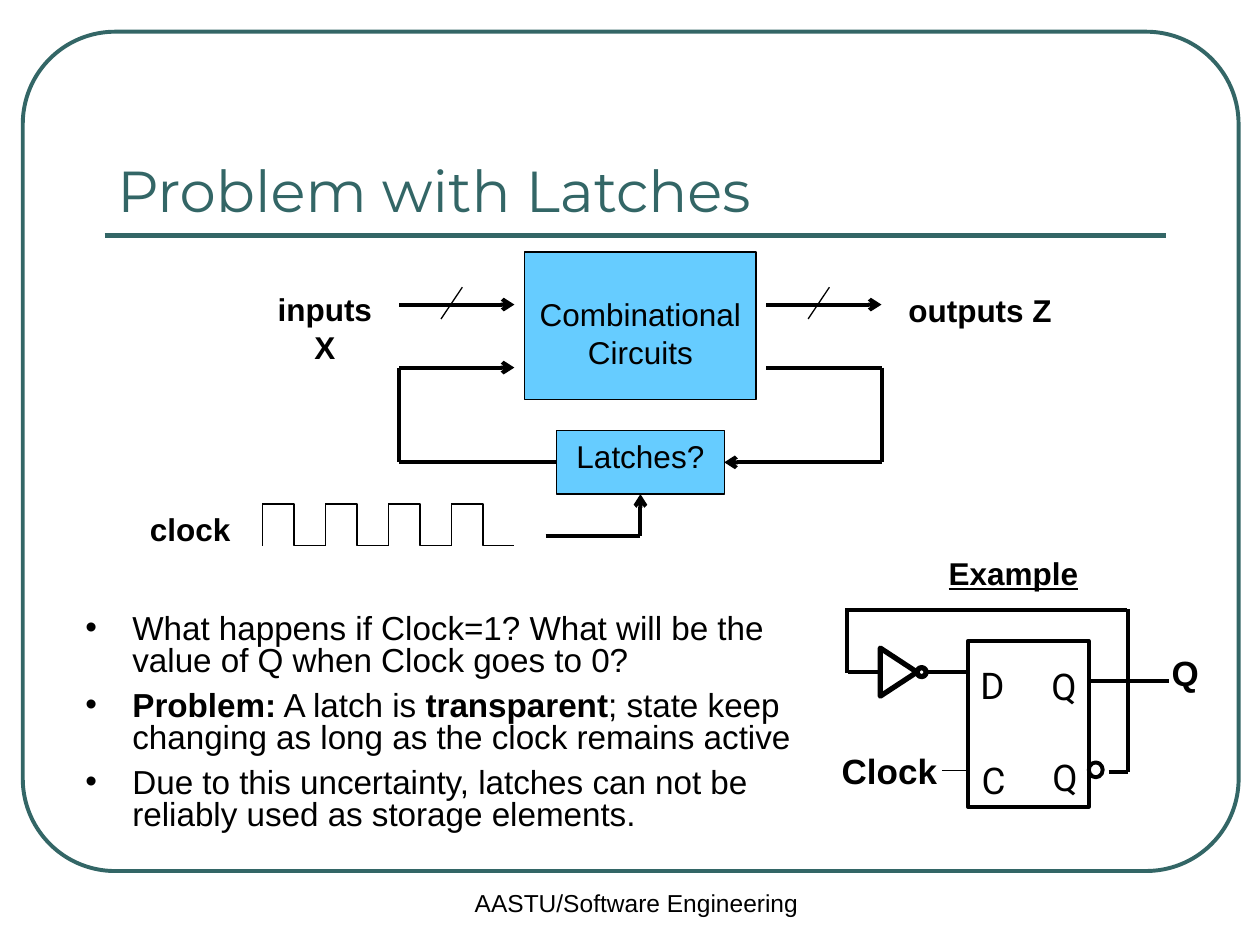
"""Build the "Problem with Latches" slide."""
from dataclasses import dataclass

from lxml import etree
from pptx import Presentation
from pptx import util as u
from pptx.dml.color import RGBColor
from pptx.enum import shapes, text
from pptx.oxml import ns

Cm, Pt = u.Cm, u.Pt


@dataclass(frozen=True)
class Theme:
    accent: RGBColor = RGBColor(0x33, 0x66, 0x66)
    ink: RGBColor = RGBColor(0, 0, 0)
    block: RGBColor = RGBColor(0x66, 0xCC, 0xFF)
    body_font: str = "Arial"
    title_font: str = "Montserrat"
    pin_font: str = "Roboto"
    title: float = 33
    pin: float = 21
    signal: float = 20
    bullet: float = 19
    label: float = 18
    footer: float = 14
    thin: float = 0.75
    frame: float = 2
    wire: float = 2.25
    heavy: float = 3


theme = Theme()
deck = Presentation()
deck.slide_width, deck.slide_height = Cm(25.4), Cm(19.05)
page = deck.slides.add_slide(deck.slide_layouts[5])


def add_wire(x1, y1, x2, y2, weight=theme.wire, color=theme.ink, arrow=False,
             kind=shapes.MSO_CONNECTOR.STRAIGHT):
    wire = page.shapes.add_connector(kind, Cm(x1), Cm(y1), Cm(x2), Cm(y2))
    wire.line.color.rgb = color
    wire.line.width = Pt(weight)
    properties = wire._element.spPr
    if arrow:
        etree.SubElement(properties.find(ns.qn("a:ln")), ns.qn("a:tailEnd"), type="arrow")
    etree.SubElement(properties, ns.qn("a:effectLst"))
    return wire


def add_box(kind, left, top, width, height, weight, color=theme.ink, fill=None):
    box = page.shapes.add_shape(kind, Cm(left), Cm(top), Cm(width), Cm(height))
    box.shadow.inherit = False
    box.line.color.rgb = color
    box.line.width = Pt(weight)
    if fill is None:
        box.fill.background()
    else:
        box.fill.solid()
        box.fill.fore_color.rgb = fill
    return box


kinds = shapes.MSO_SHAPE
border = add_box(kinds.ROUNDED_RECTANGLE, 0.46, 0.64, 24.51, 16.92, theme.wire, theme.accent)
border.adjustments[0] = 0.11
add_wire(2.11, 4.75, 23.5, 4.75, theme.heavy, theme.accent)

title = page.shapes.title
title.left, title.top, title.width, title.height = Cm(2.11), Cm(1.47), Cm(21.36), Cm(3.18)
title.text_frame.text = "Problem with Latches"
title.text_frame.auto_size = text.MSO_AUTO_SIZE.NONE
title.text_frame.vertical_anchor = text.MSO_ANCHOR.BOTTOM
para = title.text_frame.paragraphs[0]
para.alignment = text.PP_ALIGN.LEFT
para.font.name, para.font.size = theme.title_font, Pt(theme.title)
para.font.color.rgb = theme.accent

bullets = [
    [("What happens if Clock=1? What will be the value of Q when Clock goes to 0?", False)],
    [("Problem:", True), (" A latch is ", False), ("transparent", True),
     ("; state keep changing as long as the clock remains active", False)],
    [("Due to this uncertainty, latches can not be reliably used as storage elements.", False)],
]
body = page.shapes.add_textbox(Cm(1.47), Cm(12.27), Cm(14.81), Cm(5.51))
body.text_frame.word_wrap = True
for index, spans in enumerate(bullets):
    para = body.text_frame.add_paragraph() if index else body.text_frame.paragraphs[0]
    properties = para._p.get_or_add_pPr()
    properties.set("marL", str(Cm(0.95)))
    properties.set("indent", str(-Cm(0.95)))
    etree.SubElement(properties, ns.qn("a:buFont"), typeface=theme.body_font)
    etree.SubElement(properties, ns.qn("a:buChar"), char="•")
    para.line_spacing = 0.8
    if index:
        para.space_before = Pt(7.7)
    para.font.name, para.font.size = theme.body_font, Pt(theme.bullet)
    para.font.color.rgb = theme.ink
    for words, bold in spans:
        span = para.add_run()
        span.text = words
        span.font.bold = bold

logic = add_box(kinds.RECTANGLE, 10.58, 5.08, 4.66, 2.97, theme.thin, fill=theme.block)
latches = add_box(kinds.RECTANGLE, 11.22, 8.68, 3.38, 1.28, theme.thin, fill=theme.block)
for box, lines, inset in ((logic, ["Combinational", "Circuits"], 0.87),
                          (latches, ["Latches?"], 0.13)):
    frame = box.text_frame
    frame.text = "\n".join(lines)
    frame.vertical_anchor = text.MSO_ANCHOR.TOP
    frame.margin_top = Cm(inset)
    for para in frame.paragraphs:
        para.alignment = text.PP_ALIGN.CENTER
        para.font.name, para.font.size = theme.body_font, Pt(theme.label)
        para.font.color.rgb = theme.ink

for start in (8.05, 15.45):
    add_wire(start, 6.14, start + 2.32, 6.14, arrow=True)
    add_wire(start + 1.27, 5.79, start + 0.84, 6.43, theme.thin)
add_wire(8.05, 7.41, 10.37, 7.41, arrow=True)
add_wire(15.45, 7.41, 17.78, 7.41)
for side in (8.05, 17.78):
    add_wire(side, 7.41, side, 9.32)
add_wire(11.22, 9.32, 8.05, 9.32).begin_connect(latches, 1)
add_wire(17.78, 9.32, 14.6, 9.32, arrow=True).end_connect(latches, 3)
add_wire(12.91, 10.8, 12.91, 9.96, arrow=True).end_connect(latches, 2)
add_wire(11, 10.8, 12.91, 10.8)

for pulse in range(4):
    start = 5.29 + 1.27 * pulse
    add_wire(start, 10.16, start, 11, theme.thin)
    add_wire(start, 10.16, start + 1.27, 11, theme.thin, kind=shapes.MSO_CONNECTOR.ELBOW)

add_box(kinds.RECTANGLE, 19.51, 12.92, 2.44, 3.35, theme.frame)
add_wire(18.99, 15.53, 19.51, 15.53, theme.thin)
feedback = [(22.35, 15.56, 22.73, 15.56), (22.73, 15.57, 22.73, 12.27),
            (22.71, 12.29, 17.04, 12.29), (17.07, 12.27, 17.07, 13.56),
            (17.73, 13.54, 17.09, 13.54), (19.53, 13.54, 18.67, 13.54),
            (21.92, 13.72, 23.57, 13.72)]
for ends in feedback:
    add_wire(*ends)
add_box(kinds.OVAL, 21.95, 15.37, 0.28, 0.3, theme.wire)
add_box(kinds.ISOSCELES_TRIANGLE, 17.63, 13.18, 0.97, 0.74, theme.heavy).rotation = 90
add_box(kinds.OVAL, 18.49, 13.46, 0.18, 0.18, theme.heavy)

labels = [
    ("inputs X", 5.05, 5.72, 3, 1.02, theme.label),
    ("outputs Z", 18.06, 5.74, 3.4, 1.02, theme.label),
    ("clock", 2.77, 10.16, 2.13, 1.02, theme.label),
    ("Example", 18.87, 11.05, 3.12, 1.02, theme.label),
    ("Q", 23.37, 13, 1.04, 1.12, theme.signal),
    ("Clock", 16.71, 14.99, 2.44, 1.12, theme.signal),
    ("D", 19.74, 13.36, 0.53, 0.89, theme.pin),
    ("C", 19.79, 15.27, 0.48, 0.89, theme.pin),
    ("Q", 21.16, 13.39, 0.58, 0.89, theme.pin),
    ("Q", 21.18, 15.21, 0.58, 0.89, theme.pin),
    ("AASTU/Software Engineering", 9.32, 17.78, 8.03, 1.27, theme.footer),
]
for words, left, top, width, height, size in labels:
    box = page.shapes.add_textbox(Cm(left), Cm(top), Cm(width), Cm(height))
    frame = box.text_frame
    is_pin, is_footer = size == theme.pin, size == theme.footer
    frame.word_wrap = is_footer
    if is_pin:
        frame.margin_left = frame.margin_right = frame.margin_top = frame.margin_bottom = 0
    frame.text = words
    para = frame.paragraphs[0]
    para.alignment = text.PP_ALIGN.LEFT if is_footer else text.PP_ALIGN.CENTER
    para.font.name = theme.pin_font if is_pin else theme.body_font
    para.font.size = Pt(size)
    para.font.bold = not (is_pin or is_footer)
    para.font.underline = words == "Example"
    para.font.color.rgb = theme.ink

deck.save("out.pptx")
